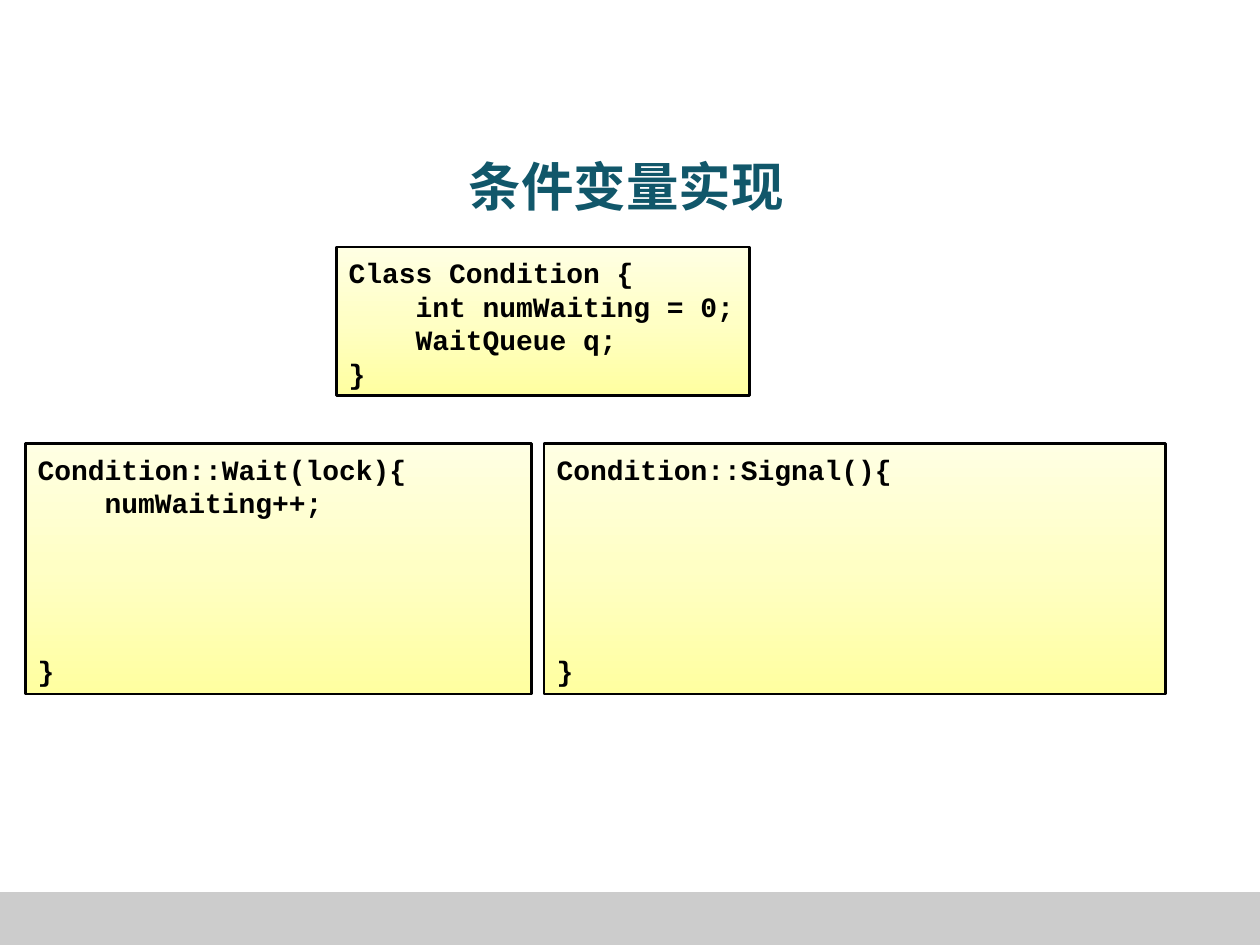
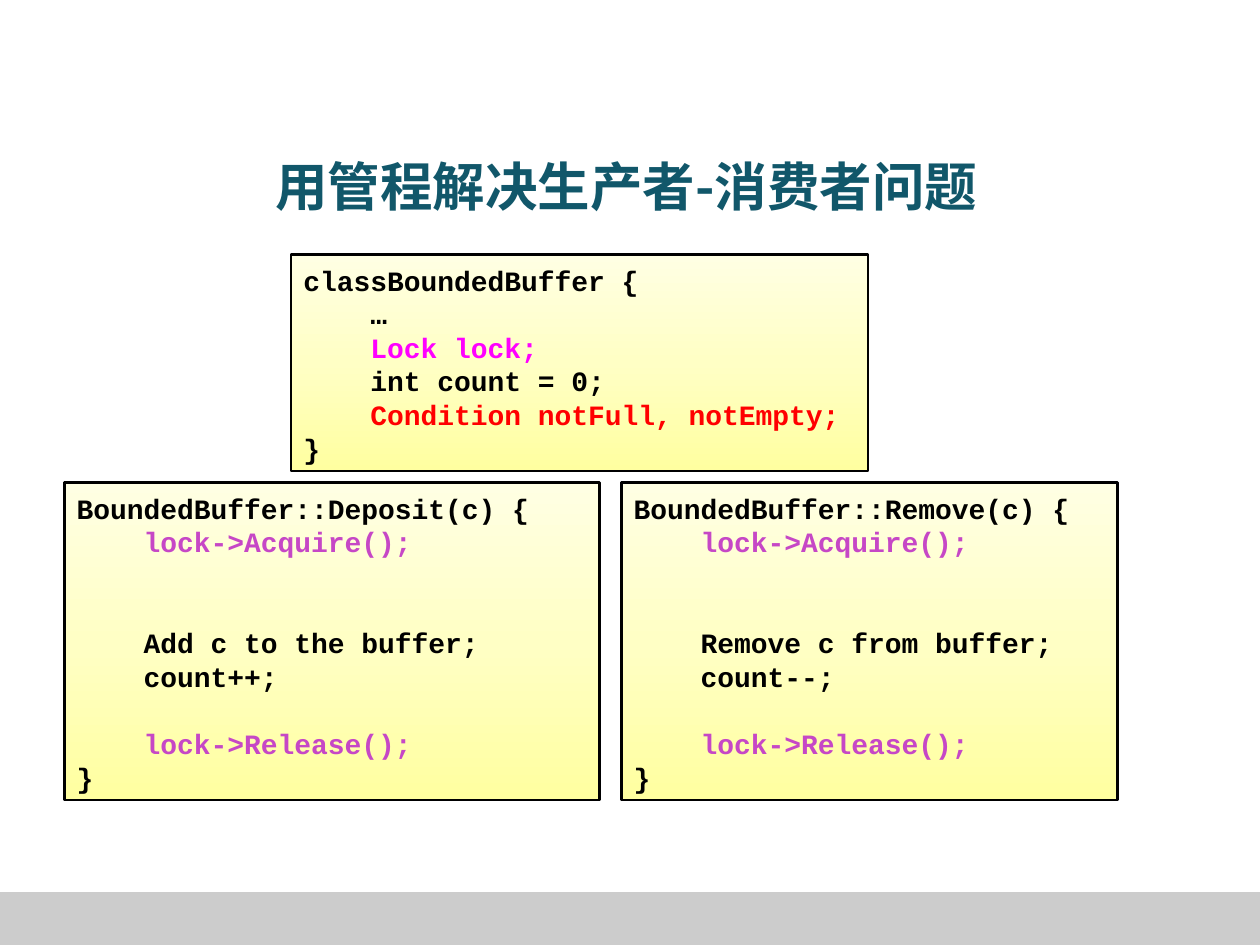
"""Two slides on condition variables and a monitor-based bounded buffer."""
from copy import deepcopy

from lxml.etree import SubElement
from pptx import Presentation
from pptx.dml.color import RGBColor
from pptx.enum.shapes import MSO_SHAPE
from pptx.enum.text import MSO_ANCHOR, PP_ALIGN
from pptx.oxml.ns import qn
from pptx.util import Pt

BLACK = RGBColor(0x00, 0x00, 0x00)
TEAL = RGBColor(0x11, 0x57, 0x6A)
GREY = RGBColor(0xCC, 0xCC, 0xCC)
PURPLE = RGBColor(0xC6, 0x47, 0xC6)
MAGENTA = RGBColor(0xFF, 0x00, 0xFF)
RED = RGBColor(0xFF, 0x00, 0x00)
YELLOWS = [
    RGBColor(0xFF, 0xFF, 0xA0),
    RGBColor(0xFF, 0xFF, 0xC5),
    RGBColor(0xFF, 0xFF, 0xE3),
]
TITLE_FONT = "Noto Sans CJK SC"
TITLE_FORMAT = {"name": TITLE_FONT, "size": Pt(30), "bold": True}
CODE_FORMAT = {"name": "Courier New", "size": Pt(16), "bold": True}
LINE_PITCH = 19.2
HIGHLIGHTS = {
    "lock->": PURPLE,
    "Lock lock": MAGENTA,
    "Condition notFull": RED,
}

CONDITION_CLASS = """Class Condition {
    int numWaiting = 0;
    WaitQueue q;
}"""
WAIT = """Condition::Wait(lock){
    numWaiting++;




}"""
SIGNAL = """Condition::Signal(){





}"""
BUFFER_CLASS = """classBoundedBuffer {
    …
    Lock lock;
    int count = 0;
    Condition notFull, notEmpty;
}"""
DEPOSIT = """BoundedBuffer::Deposit(c) {
    lock->Acquire();


    Add c to the buffer;
    count++;

    lock->Release();
}"""
REMOVE = """BoundedBuffer::Remove(c) {
    lock->Acquire();


    Remove c from buffer;
    count--;

    lock->Release();
}"""

SLIDES = [
    ("条件变量实现", [
        (WAIT, 14.4, 253.4, 289.4, 143.3),
        (SIGNAL, 311, 253.4, 355, 143.3),
        (CONDITION_CLASS, 192.2, 141.1, 236.2, 85),
    ]),
    ("用管程解决生产者-消费者问题", [
        (DEPOSIT, 36.7, 275.8, 306, 181.4),
        (REMOVE, 355, 275.8, 283.7, 181.4),
        (BUFFER_CLASS, 166.3, 145.4, 329.8, 123.8),
    ]),
]


def add_run(p, text, formats, color):
    r = p.add_run()
    r.text = text
    for name, value in formats.items():
        setattr(r.font, name, value)
    r.font.color.rgb = color
    return r


def add_code_box(s, code, left, top, width, height):
    sp = s.shapes.add_shape(
        MSO_SHAPE.RECTANGLE, Pt(left), Pt(top), Pt(width), Pt(height))
    sp.shadow.inherit = False
    sp.line.color.rgb = BLACK
    sp.line.width = Pt(1.5)
    sp.fill.gradient()
    sp.fill.gradient_angle = 90
    stops = sp._element.spPr.find(qn("a:gradFill")).find(qn("a:gsLst"))
    stops.append(deepcopy(stops[-1]))
    for i, stop in enumerate(sp.fill.gradient_stops):
        stop.position = i / 2
        stop.color.rgb = YELLOWS[i]
    tf = sp.text_frame
    tf.word_wrap = True
    tf.vertical_anchor = MSO_ANCHOR.TOP
    tf.margin_top = Pt(5)
    p = tf.paragraphs[0]
    gap = 0
    for i, line in enumerate(code.split("\n")):
        if not line:
            gap += 1
            continue
        if i:
            p = tf.add_paragraph()
        p.alignment = PP_ALIGN.LEFT
        p.line_spacing = Pt(LINE_PITCH)
        if gap:
            p.space_before = Pt(gap * LINE_PITCH)
            gap = 0
        color = BLACK
        for start, highlight in HIGHLIGHTS.items():
            if line.strip().startswith(start):
                color = highlight
        add_run(p, line, CODE_FORMAT, color)


prs = Presentation()
prs.slide_width, prs.slide_height = Pt(720), Pt(540)

for title, boxes in SLIDES:
    s = prs.slides.add_slide(prs.slide_layouts[6])
    band = s.shapes.add_shape(
        MSO_SHAPE.RECTANGLE, Pt(0), Pt(509.8), Pt(720), Pt(30.2))
    band.shadow.inherit = False
    band.fill.solid()
    band.fill.fore_color.rgb = GREY
    band.line.fill.background()

    tf = s.shapes.add_textbox(Pt(33.8), Pt(85.7), Pt(648), Pt(40.3)).text_frame
    tf.word_wrap = True
    tf.vertical_anchor = MSO_ANCHOR.MIDDLE
    tf.margin_top = tf.margin_bottom = 0
    p = tf.paragraphs[0]
    p.alignment = PP_ALIGN.CENTER
    r = add_run(p, title, TITLE_FORMAT, TEAL)
    SubElement(r.font._element, qn("a:ea")).set("typeface", TITLE_FONT)

    for box in boxes:
        add_code_box(s, *box)

prs.save("out.pptx")
